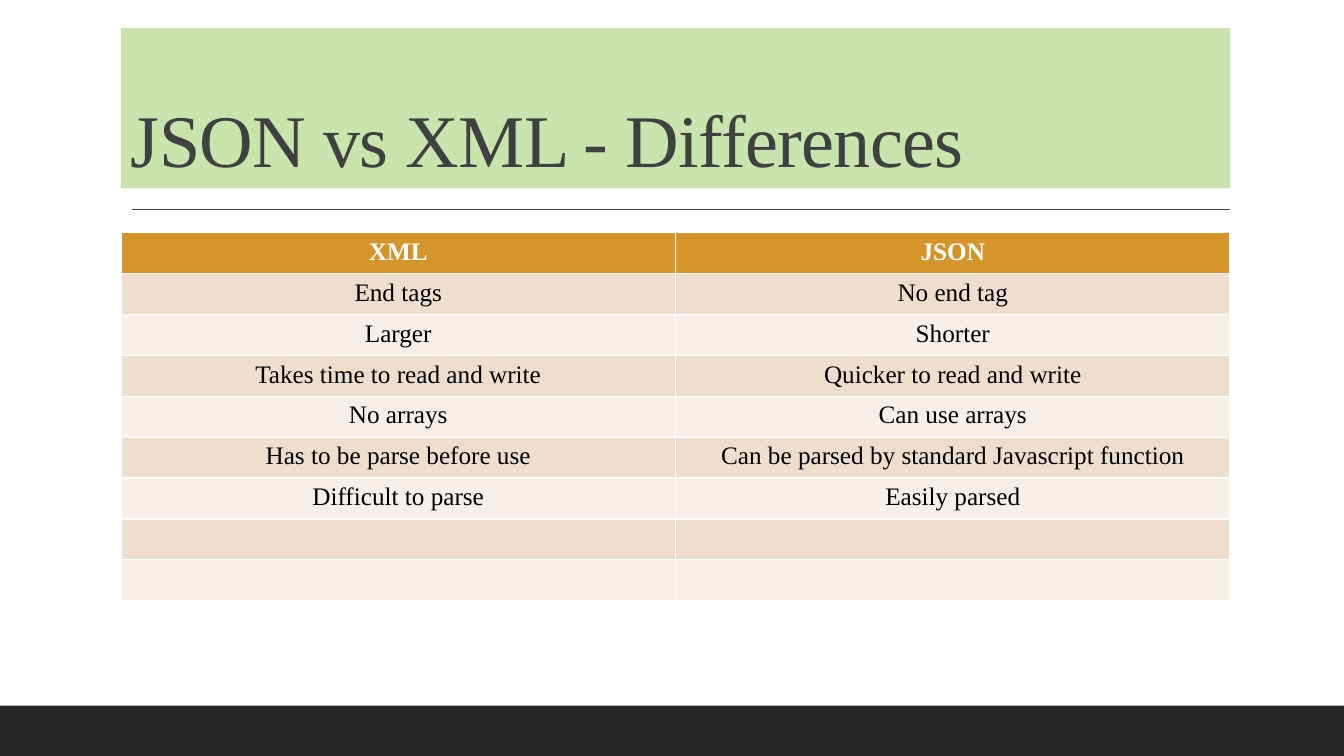
"""Build a slide that sets out how JSON and XML differ in a table."""
from lxml.etree import SubElement
from pptx import Presentation
from pptx.dml.color import RGBColor
from pptx.enum.shapes import MSO_CONNECTOR, MSO_SHAPE
from pptx.enum.text import MSO_ANCHOR, PP_ALIGN
from pptx.oxml.ns import qn
from pptx.util import Inches, Pt

FONT = "Times New Roman"
HEX = {
    "foot": "262626",
    "ink": "404040",
    "green": "CAE4AD",
    "head": "D5952A",
    "dark": "EFDDCD",
    "light": "F7EFE8",
    "white": "FFFFFF",
    "black": "000000",
}
ROWS = [
    ("XML", "JSON"),
    ("End tags", "No end tag"),
    ("Larger", "Shorter"),
    ("Takes time to read and write", "Quicker to read and write"),
    ("No arrays", "Can use arrays"),
    ("Has to be parse before use", "Can be parsed by standard Javascript function"),
    ("Difficult to parse", "Easily parsed"),
    ("", ""),
    ("", ""),
]
LEFT, WIDE = Inches(1.2), Inches(11)


def block(left, top, width, height, fill):
    shape = slide.shapes.add_shape(MSO_SHAPE.RECTANGLE, left, top, width, height)
    shape.shadow.inherit = False
    shape.fill.solid()
    shape.fill.fore_color.rgb = RGBColor.from_string(HEX[fill])
    shape.line.fill.background()
    return shape


def style(para, size, color, align):
    para.alignment = align
    para.font.name = FONT
    para.font.size = Pt(size)
    para.font.color.rgb = RGBColor.from_string(HEX[color])


deck = Presentation()
deck.slide_width, deck.slide_height = Inches(13.33), Inches(7.5)
slide = deck.slides.add_slide(deck.slide_layouts[6])

foot = deck.slide_height // 15
block(0, deck.slide_height - foot, deck.slide_width, foot, "foot")

rule = slide.shapes.add_connector(
    MSO_CONNECTOR.STRAIGHT, Inches(1.31), Inches(2.08), LEFT + WIDE, Inches(2.08)
)
rule.line.color.rgb = RGBColor.from_string(HEX["ink"])
rule.line.width = Pt(1)
SubElement(rule._element.spPr, qn("a:effectLst"))

title = block(LEFT, Inches(0.28), WIDE, Inches(1.59), "green")
frame = title.text_frame
frame.word_wrap = True
frame.vertical_anchor = MSO_ANCHOR.BOTTOM
para = frame.paragraphs[0]
para.line_spacing = 0.9
run = para.add_run()
run.text = "JSON vs XML - Differences"
run._r.get_or_add_rPr().set("spc", "-50")
style(para, 53, "ink", PP_ALIGN.LEFT)

table = slide.shapes.add_table(
    len(ROWS), 2, LEFT, Inches(2.31), WIDE, Inches(3.65)
).table
table.horz_banding = False
for r, texts in enumerate(ROWS):
    fill = "head" if r == 0 else ("light", "dark")[r % 2]
    for c, text in enumerate(texts):
        cell = table.cell(r, c)
        cell.fill.solid()
        cell.fill.fore_color.rgb = RGBColor.from_string(HEX[fill])
        cell.text = text
        para = cell.text_frame.paragraphs[0]
        style(para, 18, "black" if r else "white", PP_ALIGN.CENTER)
        para.font.bold = r == 0

deck.save("out.pptx")
